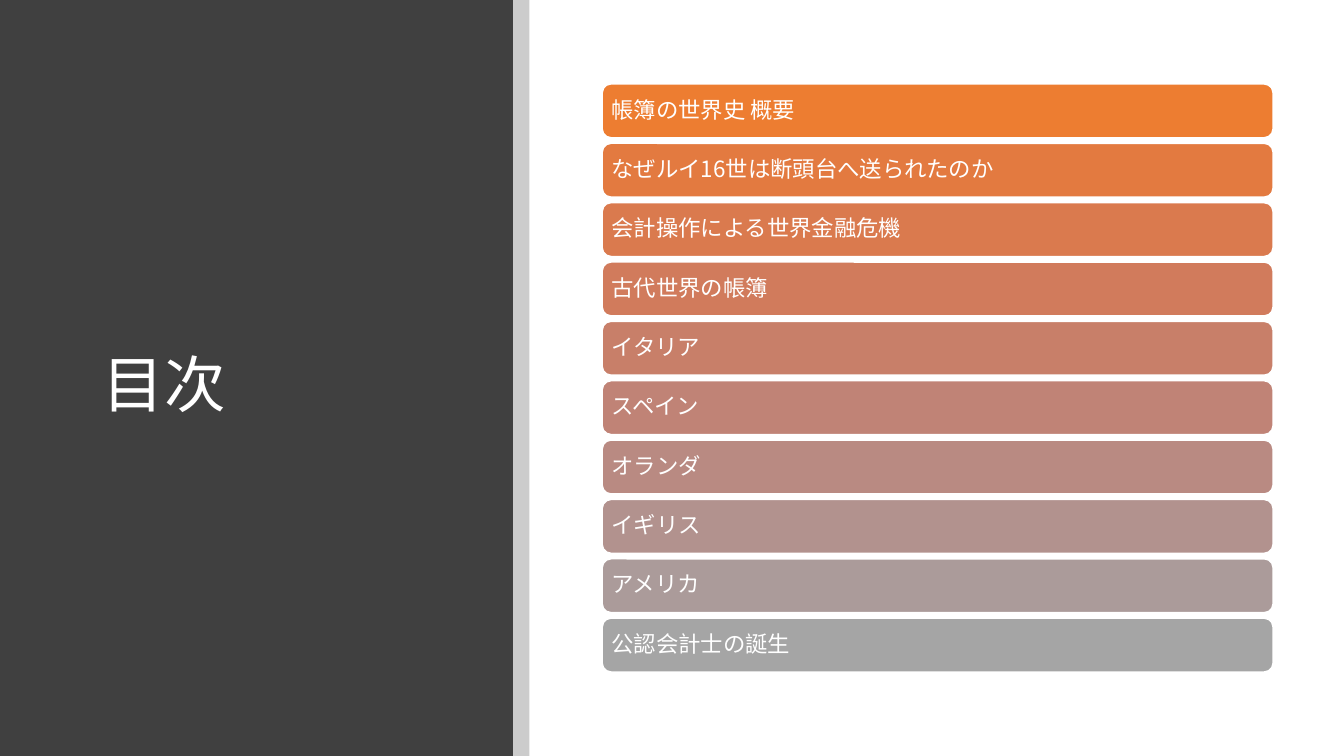
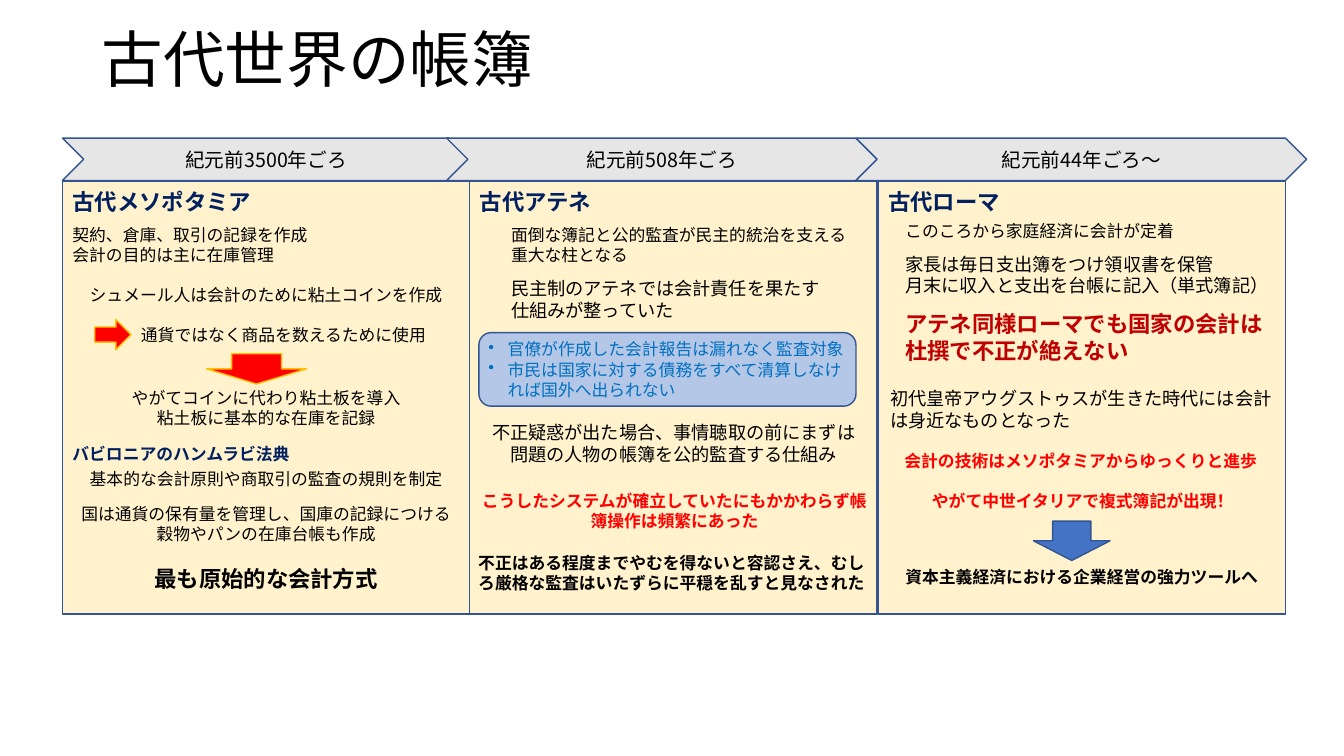
"""Build a contents slide and a three-era comparison of ancient bookkeeping."""
from dataclasses import dataclass

from lxml.etree import SubElement
from pptx import Presentation
from pptx.dml.color import RGBColor
from pptx.enum.shapes import MSO_SHAPE
from pptx.enum.text import MSO_ANCHOR, PP_ALIGN
from pptx.oxml.ns import qn
from pptx.util import Inches, Pt

CONTENTS_TITLE = "目次"
CONTENTS = [
    ("帳簿の世界史 概要", "ED7D31"),
    ("なぜルイ16世は断頭台へ送られたのか", "E37A40"),
    ("会計操作による世界金融危機", "DA7A4E"),
    ("古代世界の帳簿", "D17B5C"),
    ("イタリア", "C87F69"),
    ("スペイン", "C08376"),
    ("オランダ", "B98A82"),
    ("イギリス", "B2928E"),
    ("アメリカ", "AB9B9A"),
    ("公認会計士の誕生", "A5A5A5"),
]

ERAS_TITLE = "古代世界の帳簿"
ERAS = [
    {
        "left": 0.62, "period": "紀元前3500年ごろ", "chevron": (0.62, 4.04),
        "heading": "古代メソポタミア",
        "texts": [
            ("note", 0, 2.18, 3.86, ["契約、倉庫、取引の記録を作成", "会計の目的は主に在庫管理"]),
            ("centred", 0, 2.78, 4.04, ["シュメール人は会計のために粘土コインを作成"]),
            ("note", 0.68, 3.17, 3.13, ["通貨ではなく商品を数えるために使用"]),
            ("centred", 0, 3.8, 4.04, ["やがてコインに代わり粘土板を導入", "粘土板に基本的な在庫を記録"]),
            ("subheading", 0, 4.35, 4.04, ["バビロニアのハンムラビ法典"]),
            ("centred", 0, 4.6, 4.04, ["基本的な会計原則や商取引の監査の規則を制定"]),
            ("centred", 0, 4.95, 4.04,
             ["国は通貨の保有量を管理し、国庫の記録につける", "穀物やパンの在庫台帳も作成"]),
            ("conclusion", 0, 5.56, 4.04, ["最も原始的な会計方式"]),
        ],
    },
    {
        "left": 4.66, "period": "紀元前508年ごろ", "chevron": (4.43, 4.27),
        "heading": "古代アテネ",
        "texts": [
            ("note", 0.31, 2.18, 3.59, ["面倒な簿記と公的監査が民主的統治を支える", "重大な柱となる"]),
            ("body", 0.31, 2.7, 3.32, ["民主制のアテネでは会計責任を果たす", "仕組みが整っていた"]),
            ("centred body", 0.01, 4.13, 4.02,
             ["不正疑惑が出た場合、事情聴取の前にまずは", "問題の人物の帳簿を公的監査する仕組み"]),
            ("warning", 0.02, 4.82, 4.02,
             ["こうしたシステムが確立していたにもかかわらず帳簿操作は頻繁にあった"]),
            ("result", -0.02, 5.43, 4.04,
             ["不正はある程度までやむを得ないと容認さえ、むしろ厳格な監査はいたずらに平穏を乱すと見なされた"]),
        ],
    },
    {
        "left": 8.71, "period": "紀元前44年ごろ～", "chevron": (8.49, 4.47),
        "heading": "古代ローマ",
        "texts": [
            ("note", 0.17, 2.14, 3.59, ["このころから家庭経済に会計が定着"]),
            ("body", 0.17, 2.46, 3.83,
             ["家長は毎日支出簿をつけ領収書を保管", "月末に収入と支出を台帳に記入（単式簿記）"]),
            ("alert", 0.17, 3.03, 3.83, ["アテネ同様ローマでも国家の会計は", "杜撰で不正が絶えない"]),
            ("body", 0.02, 3.79, 4, ["初代皇帝アウグストゥスが生きた時代には会計は身近なものとなった"]),
            ("warning", 0, 4.42, 4.02, ["会計の技術はメソポタミアからゆっくりと進歩"]),
            ("warning", 0.02, 4.82, 4.02, ["やがて中世イタリアで複式簿記が出現！"]),
            ("result", 0, 5.57, 4.04, ["資本主義経済における企業経営の強力ツールへ"]),
        ],
    },
]
AUDIT_RULES = [
    "官僚が作成した会計報告は漏れなく監査対象",
    "市民は国家に対する債務をすべて清算しなければ国外へ出られない",
]


@dataclass(frozen=True)
class Theme:
    """Colours and type sizes of the presentation."""
    font = "Noto Sans CJK JP"
    black = "000000"
    white = "FFFFFF"
    dark = "404040"
    band = "CCCCCC"
    navy = "002060"
    red = "FF0000"
    crimson = "C00000"
    gold = "FFC000"
    blue = "4472C4"
    outline = "325491"
    panel = "FFF2CC"
    chevron = "E7E6E6"
    rule_box = "B4C7E7"
    rule_text = "0070C0"
    title_size = 44
    heading_size = 16
    period_size = 14
    body_size = 13
    note_size = 12


THEME = Theme()
LEFT, CENTRE = PP_ALIGN.LEFT, PP_ALIGN.CENTER
STYLES = {
    "title": (THEME.title_size, THEME.black, False, LEFT),
    "light title": (THEME.title_size, THEME.white, False, LEFT),
    "contents": (THEME.heading_size, THEME.white, False, LEFT),
    "period": (THEME.period_size, THEME.black, False, CENTRE),
    "heading": (THEME.heading_size, THEME.navy, True, LEFT),
    "subheading": (THEME.note_size, THEME.navy, True, LEFT),
    "note": (THEME.note_size, THEME.black, False, LEFT),
    "centred": (THEME.note_size, THEME.black, False, CENTRE),
    "body": (THEME.body_size, THEME.black, False, LEFT),
    "centred body": (THEME.body_size, THEME.black, False, CENTRE),
    "conclusion": (THEME.heading_size, THEME.black, True, CENTRE),
    "alert": (THEME.heading_size, THEME.crimson, True, LEFT),
    "warning": (THEME.note_size, THEME.red, True, CENTRE),
    "result": (THEME.note_size, THEME.black, True, CENTRE),
    "rule": (THEME.note_size, THEME.rule_text, False, LEFT),
}


def write(shape, lines, style, anchor=MSO_ANCHOR.TOP, side=0.1, spacing=1.0):
    """Fill a shape with one paragraph per line."""
    size, color, bold, alignment = STYLES[style]
    frame = shape.text_frame
    frame_format = {"word_wrap": True, "vertical_anchor": anchor,
                    "margin_left": Inches(side), "margin_right": Inches(side)}
    for name, value in frame_format.items():
        setattr(frame, name, value)
    for index, line in enumerate(lines):
        paragraph = frame.add_paragraph() if index else frame.paragraphs[0]
        paragraph.alignment = alignment
        paragraph.line_spacing = spacing
        run = paragraph.add_run()
        run.text = line
        font_format = {"name": THEME.font, "size": Pt(size), "bold": bold}
        for name, value in font_format.items():
            setattr(run.font, name, value)
        run.font.color.rgb = RGBColor.from_string(color)
        SubElement(run.font._element, qn("a:ea")).set("typeface", THEME.font)
    return frame


def add_text(slide, box, lines, style, **options):
    """Add a wrapping text box."""
    return write(slide.shapes.add_textbox(*map(Inches, box)), lines, style, **options)


def add_title(slide, box, text, style):
    """Add a slide title."""
    add_text(slide, box, [text], style, anchor=MSO_ANCHOR.MIDDLE, spacing=0.9)


def add_block(slide, kind, box, fill, line=None, width=1):
    """Add a flat preset shape."""
    shape = slide.shapes.add_shape(kind, *map(Inches, box))
    shape.shadow.inherit = False
    shape.fill.solid()
    shape.fill.fore_color.rgb = RGBColor.from_string(fill)
    if line:
        shape.line.color.rgb = RGBColor.from_string(line)
        shape.line.width = Pt(width)
    else:
        shape.line.fill.background()
    return shape


def add_bullets(frame, indent):
    """Give every paragraph a hanging bullet."""
    for paragraph in frame.paragraphs:
        properties = paragraph._p.get_or_add_pPr()
        properties.set("marL", str(Inches(indent)))
        properties.set("indent", str(-Inches(indent)))
        SubElement(properties, qn("a:buChar")).set("char", "•")


def build_contents(slide):
    """Draw the dark title side and the list of chapters."""
    add_block(slide, MSO_SHAPE.RECTANGLE, (0, 0, 5.09, 7.5), THEME.dark)
    add_block(slide, MSO_SHAPE.RECTANGLE, (5.09, 0, 0.16, 7.5), THEME.band)
    add_title(slide, (0.92, 0.89, 3.65, 5.91), CONTENTS_TITLE, "light title")
    first, last = 0.83, 6.13
    step = (last - first) / (len(CONTENTS) - 1)
    for index, (chapter, fill) in enumerate(CONTENTS):
        bar = add_block(slide, MSO_SHAPE.ROUNDED_RECTANGLE,
                        (5.97, first + index * step, 6.66, 0.54), fill, THEME.white, 1.5)
        write(bar, [chapter], "contents", MSO_ANCHOR.MIDDLE, side=0.07, spacing=0.9)


def build_eras(slide):
    """Draw a period chevron and a panel of facts for each era."""
    add_title(slide, (0.91, 0.06, 11.5, 1.12), ERAS_TITLE, "title")
    for era in ERAS:
        left = era["left"]
        chevron_left, chevron_width = era["chevron"]
        add_block(slide, MSO_SHAPE.RECTANGLE, (left, 1.8, 4.04, 4.29),
                  THEME.panel, THEME.outline)
        chevron = add_block(slide, MSO_SHAPE.CHEVRON, (chevron_left, 1.37, chevron_width, 0.42),
                            THEME.chevron, THEME.outline)
        write(chevron, [era["period"]], "period", MSO_ANCHOR.MIDDLE)
        add_text(slide, (left, 1.82, 3.86, 0.37), [era["heading"]], "heading")
        for style, offset, top, width, lines in era["texts"]:
            height = 0.1 + len(lines) * STYLES[style][0] / 60
            add_text(slide, (left + offset, top, width, height), lines, style)
    rule_box = add_block(slide, MSO_SHAPE.ROUNDED_RECTANGLE, (4.75, 3.3, 3.74, 0.73),
                         THEME.rule_box, THEME.outline)
    add_bullets(write(rule_box, AUDIT_RULES, "rule", MSO_ANCHOR.MIDDLE, side=0.06), 0.19)
    arrows = [
        (MSO_SHAPE.RIGHT_ARROW, (0.94, 3.17, 0.36, 0.3), THEME.red, THEME.gold),
        (MSO_SHAPE.DOWN_ARROW, (2.05, 3.51, 0.99, 0.3), THEME.red, THEME.gold),
        (MSO_SHAPE.DOWN_ARROW, (10.25, 5.17, 0.76, 0.39), THEME.blue, THEME.outline),
    ]
    for arrow in arrows:
        add_block(slide, *arrow)


presentation = Presentation()
presentation.slide_width = Inches(13.33)
presentation.slide_height = Inches(7.5)
for build in (build_contents, build_eras):
    build(presentation.slides.add_slide(presentation.slide_layouts[6]))
presentation.save("out.pptx")
